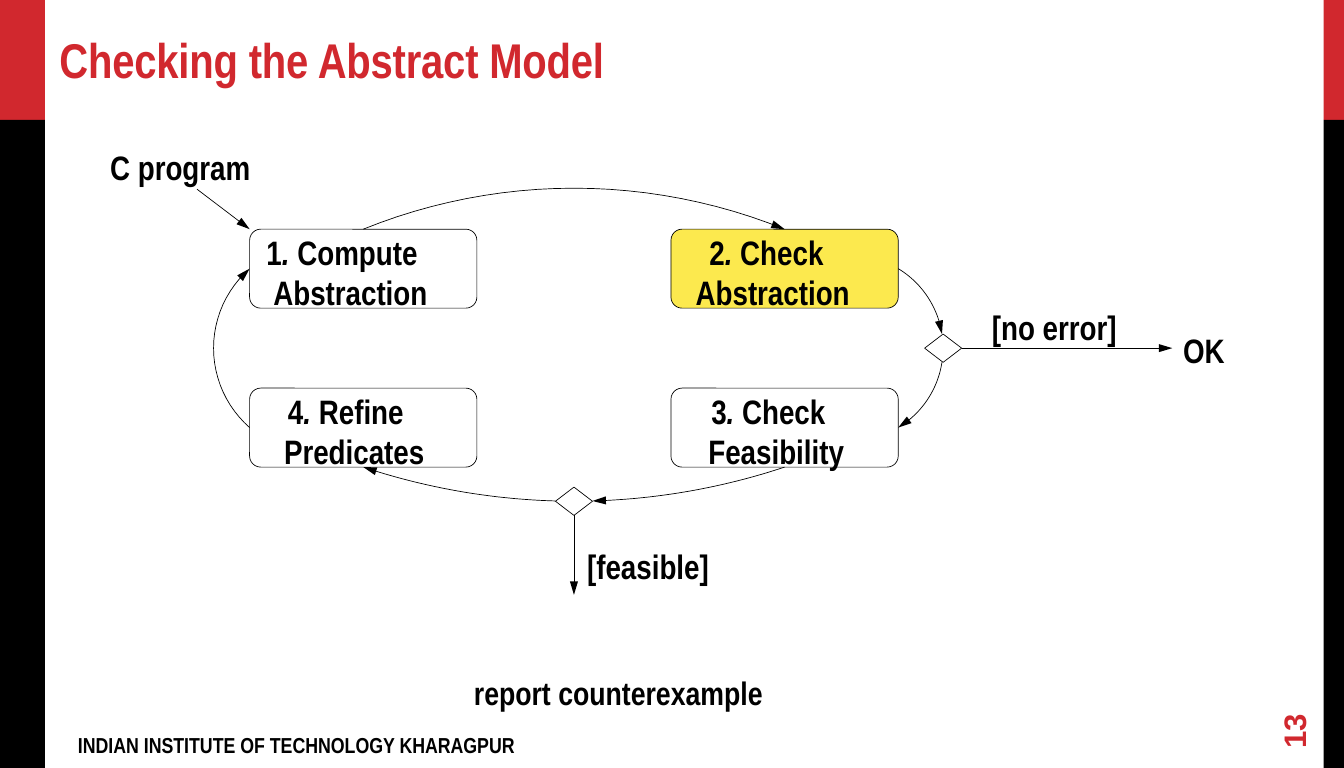
from math import asin, atan, cos, hypot, sin
from lxml import etree
from pptx import Presentation
from pptx.dml.color import RGBColor
from pptx.enum.shapes import MSO_CONNECTOR, MSO_SHAPE
from pptx.enum.text import MSO_ANCHOR, PP_ALIGN
from pptx.oxml.ns import qn
from pptx.util import Inches, Pt

RECT, ROUND, DIAMOND = MSO_SHAPE.RECTANGLE, MSO_SHAPE.ROUNDED_RECTANGLE, MSO_SHAPE.DIAMOND
STRAIGHT = MSO_CONNECTOR.STRAIGHT
TOP, MIDDLE, BOTTOM = MSO_ANCHOR.TOP, MSO_ANCHOR.MIDDLE, MSO_ANCHOR.BOTTOM
LEFT = PP_ALIGN.LEFT
RED, BLACK, YELLOW = "D1282E", "000000", "FCE94E"
WIDE, HIGH = 13.78, 63 / 8

# Content: steps as number, words, column, row, first and next line offsets, fill
STEPS = [
    ("1", "Compute Abstraction", 0, 0, 0.14, 0.21, None),
    ("2", "Check Abstraction", 1, 0, 0.36, 0.22, YELLOW),
    ("3", "Check Feasibility", 1, 1, 0.38, 0.35, None),
    ("4", "Refine Predicates", 0, 1, 0.36, 0.32, None),
]
TITLE = "Checking the Abstract Model"
FOOTER = "INDIAN INSTITUTE OF TECHNOLOGY KHARAGPUR"
NUMBER = "13"
# Labels as words, left, top, width, size
LABELS = [
    ("C program", 1.13, 1.5, 1.83, 25),
    ("[no error]", 10.17, 3.14, 1.59, 25),
    ("OK", 12.13, 3.38, 0.6, 25),
    ("[feasible]", 6.02, 5.59, 1.6, 25),
    ("report counterexample", 4.86, 6.9, 3.2, 24),
    (FOOTER, 0.8, 7.5, 8.2, 16),
]

# Grid of the cycle
COLS, ROWS = (2.56, 6.88), (2.35, 3.98)
BOX_W, BOX_H = 2.33, 0.81
GEM_W, GEM_H = 0.38, 0.29
near, far = (x + BOX_W / 2 for x in COLS)
upper, lower = (y + BOX_H / 2 for y in ROWS)
east, base = COLS[1] + BOX_W, ROWS[1] + BOX_H
mid_x, mid_y = (near + far) / 2, (upper + lower) / 2
RISE, SIDE, DROP, BACK = 0.42, 0.46, 0.35, 0.37
gem_x, gem_y = east + SIDE, base + DROP

prs = Presentation()
prs.slide_width, prs.slide_height = Inches(WIDE), Inches(HIGH)
slide = prs.slides.add_slide(prs.slide_layouts[6])
shapes = slide.shapes


def color(code):
    return RGBColor.from_string(code)


def write(frame, runs, size=25, font="Arial Narrow", ink=BLACK, anchor=TOP,
          pitch=None, first=0, rest=0, track=None):
    """Fill a frame with one paragraph; runs are (words, italic) pairs."""
    frame.word_wrap = True
    frame.vertical_anchor = anchor
    frame.margin_left = frame.margin_right = 0
    frame.margin_top = frame.margin_bottom = 0
    para = frame.paragraphs[0]
    para.alignment = LEFT
    if pitch:
        para.line_spacing = Pt(pitch)
    props = para._p.get_or_add_pPr()
    props.set("marL", str(Inches(rest)))
    props.set("indent", str(Inches(first - rest)))
    for words, slant in runs:
        run = para.add_run()
        run.text = words
        face = run.font
        face.name, face.size = font, Pt(size)
        face.bold, face.italic = True, slant
        face.color.rgb = color(ink)
        if track:
            run._r.get_or_add_rPr().set("spc", str(track))


def label(words, x, y, w, h, **style):
    box = shapes.add_textbox(Inches(x), Inches(y), Inches(w), Inches(h))
    write(box.text_frame, [(words, False)], **style)
    return box


def paint(shape, fill=None, line=BLACK):
    shape.shadow.inherit = False
    if fill:
        shape.fill.solid()
        shape.fill.fore_color.rgb = color(fill)
    else:
        shape.fill.background()
    if line:
        shape.line.color.rgb = color(line)
        shape.line.width = Pt(0.5)
    else:
        shape.line.fill.background()


def block(kind, x, y, w, h, fill=None, line=BLACK):
    shape = shapes.add_shape(kind, Inches(x), Inches(y), Inches(w), Inches(h))
    paint(shape, fill, line)
    return shape


def point(shape):
    """Put an arrowhead at the end of a line."""
    tip = etree.SubElement(shape.line._get_or_add_ln(), qn("a:tailEnd"))
    for key, value in (("type", "triangle"), ("w", "med"), ("len", "lg")):
        tip.set(key, value)


def arrow(x1, y1, x2, y2):
    line = shapes.add_connector(STRAIGHT, Inches(x1), Inches(y1), Inches(x2), Inches(y2))
    line.line.color.rgb = color(BLACK)
    line.line.width = Pt(0.5)
    point(line)
    etree.SubElement(line._element.spPr, qn("a:effectLst"))


def curve(start, end, bulge, gap=None):
    """Circular arc bulging to the left of travel, split around a gap."""
    (x1, y1), (x2, y2) = start, end
    span = hypot(x2 - x1, y2 - y1)
    dx, dy = (x2 - x1) / span, (y2 - y1) / span
    radius = (span ** 2 / 4 + bulge ** 2) / (2 * bulge)
    half = 2 * atan(2 * bulge / span)
    cut = asin(gap / radius) if gap else 0
    parts = [(-half, -cut), (cut, half)] if gap else [(-half, half)]
    for low, high in parts:
        dots = []
        for i in range(25):
            turn = low + (high - low) * i / 24
            u, v = radius * sin(turn), radius * cos(turn) - radius + bulge
            dots.append((Inches((x1 + x2) / 2 + u * dx + v * dy),
                         Inches((y1 + y2) / 2 + u * dy - v * dx)))
        pen = shapes.build_freeform(*dots[0])
        pen.add_line_segments(dots[1:], close=False)
        arc = pen.convert_to_shape()
        paint(arc)
        point(arc)


# Side bars
for x, w in ((0, 0.46), (13.57, 0.21)):
    block(RECT, x, 0, w, 1.23, RED, None)
    block(RECT, x, 1.23, w, HIGH - 1.23, BLACK, None)

# Title, labels and slide number
label(TITLE, 0.61, 0.18, 12.8, 0.72, size=36, ink=RED, anchor=BOTTOM, track=-15)
for words, x, y, w, size in LABELS:
    label(words, x, y, w, size / 65, size=size)
page = label(NUMBER, 12.97, 7.21, 0.59, 0.34, size=23, font="Arial", ink=RED, anchor=MIDDLE)
page.rotation = 270

# Steps of the cycle
for num, words, col, row, first, rest, fill in STEPS:
    box = block(ROUND, COLS[col], ROWS[row], BOX_W, BOX_H, fill)
    box.adjustments[0] = 0.14
    write(box.text_frame, [(num, False), (". ", True), (words, False)],
          pitch=29.5, first=first, rest=rest)

# Decisions
for x, y in ((gem_x, mid_y), (mid_x, gem_y)):
    block(DIAMOND, x - GEM_W / 2, y - GEM_H / 2, GEM_W, GEM_H)

# Arrows round the cycle, then in and out of it
curve((near, ROWS[0]), (far, ROWS[0]), RISE)
curve((east, upper), (east, lower), SIDE, GEM_H / 2)
curve((far, base), (near, base), DROP, GEM_W / 2)
curve((COLS[0], lower), (COLS[0], upper), BACK)
arrow(2.02, 1.94, COLS[0], ROWS[0])
arrow(gem_x + GEM_W / 2, mid_y, 12.02, mid_y)
arrow(mid_x, gem_y + GEM_H / 2, mid_x, 6.1)

prs.save("out.pptx")
